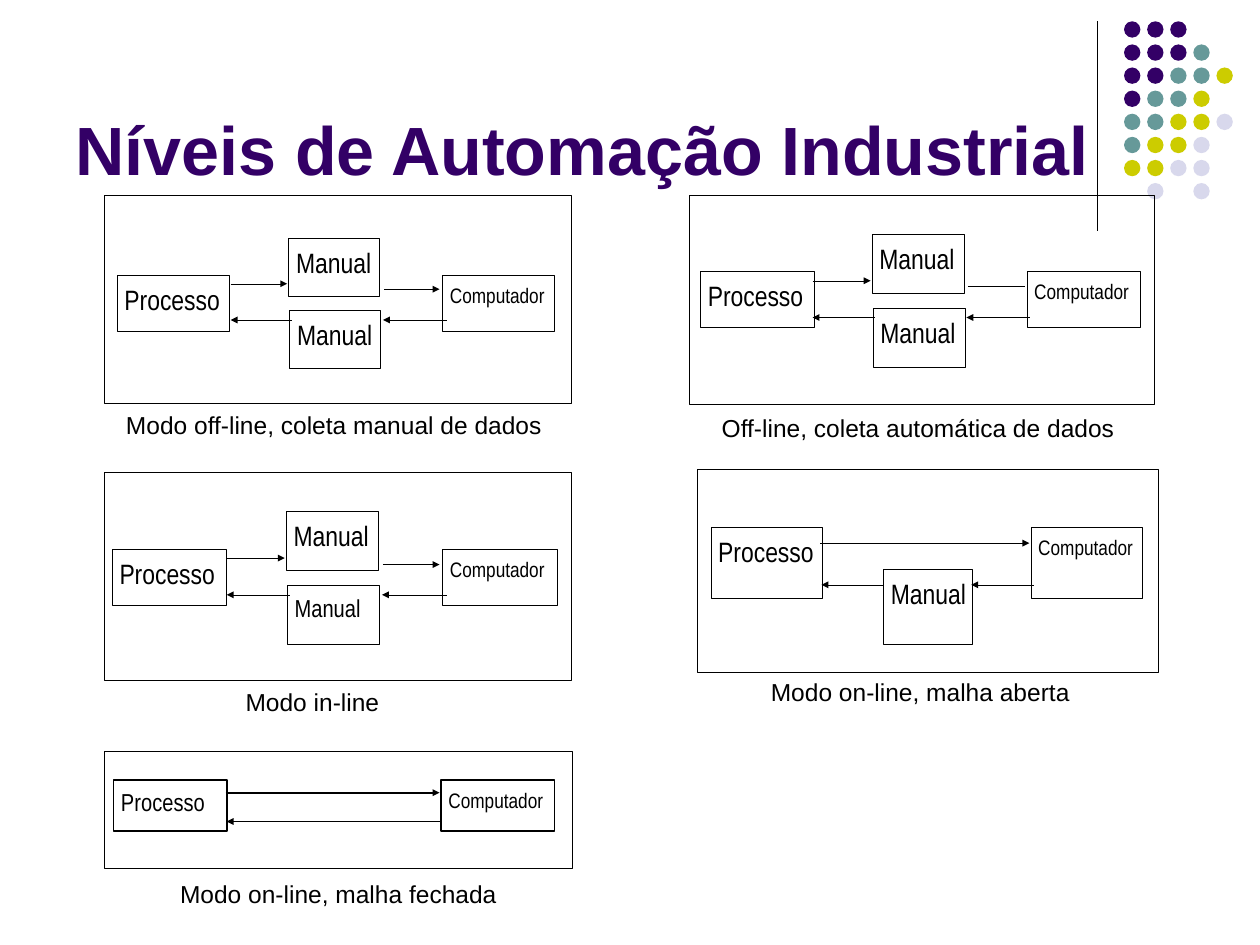
from pptx import Presentation
from pptx import util as u
from pptx.dml.color import RGBColor
from pptx.enum import dml, shapes, text
from pptx.oxml.ns import qn
from lxml import etree

COLORS = {"ink": "000000", "P": "330066", "T": "669999", "Y": "CCCC00", "L": "D8D8EC"}
rgb = {name: RGBColor.from_string(h) for name, h in COLORS.items()}

prs = Presentation()
prs.slide_width, prs.slide_height = u.Cm(25.4), u.Cm(19.05)
s = prs.slides.add_slide(prs.slide_layouts[6])


def add_box(x, y, w, h, label="", size=16, weight=0.25):
    """Outlined rectangle, with a label at its top left."""
    sp = s.shapes.add_shape(shapes.MSO_SHAPE.RECTANGLE, u.Cm(x), u.Cm(y), u.Cm(w), u.Cm(h))
    sp.shadow.inherit = False
    sp.fill.background()
    sp.line.color.rgb = rgb["ink"]
    sp.line.width = u.Pt(weight)
    if label:
        tf = sp.text_frame
        tf.text = label
        tf.word_wrap = True
        tf.vertical_anchor = text.MSO_ANCHOR.TOP
        tf.margin_left = tf.margin_top = tf.margin_bottom = u.Cm(0.15)
        tf.margin_right = 0  # the labels nearly fill their boxes
        p = tf.paragraphs[0]
        p.alignment = text.PP_ALIGN.LEFT
        p.font.name, p.font.size = "Arial Narrow", u.Pt(size)
        p.font.color.rgb = rgb["ink"]


def add_line(x1, y1, x2, y2, weight=0.25, dotted=False, arrow=False):
    """Straight line, dotted or with an arrowhead at its end if asked."""
    c = s.shapes.add_connector(shapes.MSO_CONNECTOR.STRAIGHT,
                               u.Cm(x1), u.Cm(y1), u.Cm(x2), u.Cm(y2))
    c.line.color.rgb = rgb["ink"]
    c.line.width = u.Pt(weight)
    if dotted:
        c.line.dash_style = dml.MSO_LINE.ROUND_DOT
    if arrow:
        etree.SubElement(c.line._get_or_add_ln(), qn("a:tailEnd"),
                         type="triangle", w="sm", len="sm")
    etree.SubElement(c._element.spPr, qn("a:effectLst"))


# Corner decoration: vertical rule and grid of dots
add_line(22.12, 0.43, 22.12, 4.65, weight=0.75)
DOTS = ["PPP", "PPPT", "PPTTY", "PTTY", "TTYYL", "TYYL", "YYLL", " L L"]
PITCH = 3.26 / 7
for row, letters in enumerate(DOTS):
    for col, letter in enumerate(letters):
        if letter == " ":
            continue
        sp = s.shapes.add_shape(shapes.MSO_SHAPE.OVAL, u.Cm(22.66 + col * PITCH),
                                u.Cm(0.43 + row * PITCH), u.Cm(0.33), u.Cm(0.33))
        sp.shadow.inherit = False
        sp.fill.solid()
        sp.fill.fore_color.rgb = rgb[letter]
        sp.line.fill.background()

# Title
tf = s.shapes.add_textbox(u.Cm(1.27), u.Cm(0.33), u.Cm(20.96), u.Cm(3.61)).text_frame
tf.text = "Níveis de Automação Industrial"
tf.word_wrap = True
tf.margin_right = 0
tf.vertical_anchor = text.MSO_ANCHOR.BOTTOM
r = tf.paragraphs[0].runs[0]
r.font.name, r.font.size, r.font.bold = "Arial", u.Pt(39), True
r.font.color.rgb = rgb["P"]

# Panels: frame, caption (text, x, y, w), weight of boxes and arrows,
# boxes (x, y, w, h, label, size), arrows (from x, to x, y, dotted, arrowhead)
PANELS = [
    ((2.11, 3.94, 9.4, 4.19),
     ("Modo off-line, coleta manual de dados", 2.29, 8.13, 9.04), 0.25,
     [(2.36, 5.54, 2.26, 1.14, "Processo", 16),
      (8.92, 5.54, 2.26, 1.14, "Computador", 12),
      (5.82, 4.8, 1.83, 1.17, "Manual", 16),
      (5.84, 6.25, 1.83, 1.17, "Manual", 16)],
     [(8.99, 7.72, 6.45, True, True), (7.75, 8.86, 5.83, True, True),
      (4.65, 5.79, 5.72, True, True), (5.87, 4.65, 6.45, True, True)]),
    ((13.89, 3.94, 9.37, 4.22),
     ("Off-line, coleta automática de dados", 14.3, 8.2, 8.56), 0.25,
     [(14.12, 5.46, 2.29, 1.14, "Processo", 16),
      (20.7, 5.46, 2.29, 1.14, "Computador", 12),
      (17.58, 4.72, 1.85, 1.19, "Manual", 16),
      (17.6, 6.22, 1.85, 1.19, "Manual", 16)],
     [(20.75, 19.48, 6.4, True, True), (19.51, 20.65, 5.77, True, False),
      (16.38, 17.55, 5.66, False, True), (17.63, 16.38, 6.4, True, True)]),
    ((2.11, 9.53, 9.4, 4.19),
     ("Modo in-line", 4.7, 13.72, 3.33), 0.25,
     [(2.26, 11.07, 2.31, 1.14, "Processo", 16),
      (8.92, 11.07, 2.31, 1.14, "Computador", 12),
      (5.77, 10.31, 1.85, 1.19, "Manual", 16),
      (5.79, 11.8, 1.85, 1.19, "Manual", 14)],
     [(8.99, 7.7, 11.99, True, True), (7.72, 8.86, 11.38, False, True),
      (4.57, 5.74, 11.25, True, True), (5.84, 4.57, 11.99, True, True)]),
    ((14.05, 9.45, 9.3, 4.11),
     ("Modo on-line, malha aberta", 15.29, 13.51, 6.68), 0.25,
     [(14.33, 10.62, 2.24, 1.45, "Processo", 16),
      (20.78, 10.62, 2.24, 1.45, "Computador", 12),
      (17.81, 11.48, 1.8, 1.5, "Manual", 16)],
     [(20.83, 19.58, 11.79, True, True), (17.78, 16.56, 11.79, True, True),
      (16.54, 20.75, 10.95, False, True)]),
    ((2.11, 15.14, 9.42, 2.36),
     ("Modo on-line, malha fechada", 3.38, 17.58, 7.04), 1,
     [(2.29, 15.72, 2.29, 1.04, "Processo", 14),
      (8.89, 15.72, 2.29, 1.04, "Computador", 12)],
     [(4.55, 8.86, 15.98, False, True), (8.86, 4.57, 16.56, False, True)]),
]
for frame, (caption, x, y, w), weight, boxes, arrows in PANELS:
    for box in boxes:
        add_box(*box, weight=weight)
    for x1, x2, line_y, dotted, arrow in arrows:
        add_line(x1, line_y, x2, line_y, weight, dotted, arrow)
    add_box(*frame)
    tf = s.shapes.add_textbox(u.Cm(x), u.Cm(y), u.Cm(w), u.Cm(0.86)).text_frame
    tf.text = caption
    tf.word_wrap = False
    tf.vertical_anchor = text.MSO_ANCHOR.MIDDLE
    r = tf.paragraphs[0].runs[0]
    r.font.name, r.font.size = "Arial", u.Pt(14)
    r.font.color.rgb = rgb["ink"]

prs.save("out.pptx")
